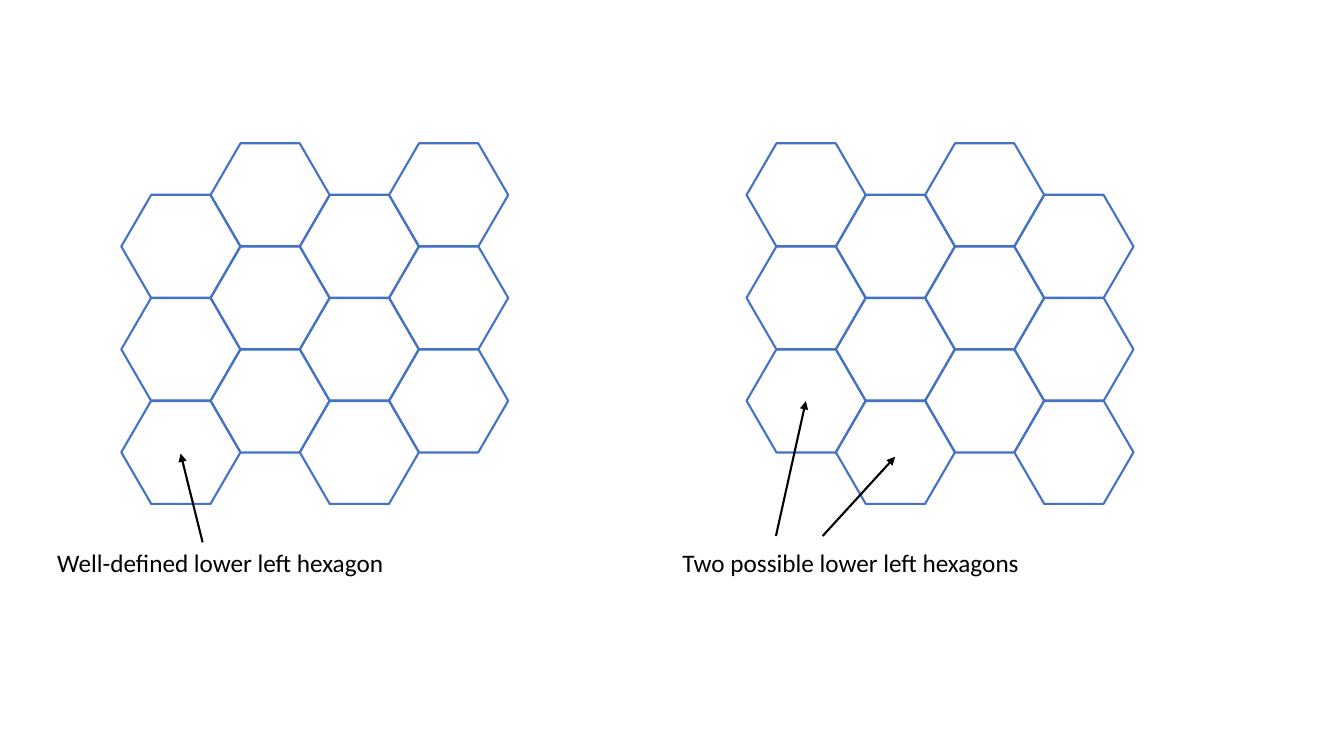
from dataclasses import dataclass

from lxml.etree import SubElement
from pptx import Presentation
from pptx.dml.color import RGBColor
from pptx.enum.shapes import MSO_CONNECTOR, MSO_SHAPE
from pptx.enum.text import MSO_AUTO_SIZE
from pptx.oxml.ns import qn
from pptx.util import Emu, Pt

EMU_PER_PX = 914400 // 192


@dataclass(frozen=True)
class Theme:
    outline: RGBColor = RGBColor(0x44, 0x72, 0xC4)
    ink: RGBColor = RGBColor(0, 0, 0)
    font: str = "Calibri"
    caption_size: Pt = Pt(18)
    line_width: Pt = Pt(1.5)


THEME = Theme()

# Hexagon geometry in px; neighbouring columns overlap by the slanted inset.
HEXAGON_WIDTH = 227
HEXAGON_HEIGHT = 197
COLUMN_PITCH = 170
HALF_ROW = 98
COLUMNS = 4
ROWS = 3

# Places inside a panel.
GRID_LEFT = 141
CAPTION_TOP = 760
CAPTION_HEIGHT = 77


def px(length):
    return Emu(length * EMU_PER_PX)


def add_hexagon(slide, left, top):
    hexagon = slide.shapes.add_shape(
        MSO_SHAPE.HEXAGON, px(left), px(top), px(HEXAGON_WIDTH), px(HEXAGON_HEIGHT)
    )
    hexagon.adjustments[0] = 0.29
    hexagon.shadow.inherit = False
    hexagon.fill.background()
    hexagon.line.color.rgb = THEME.outline
    hexagon.line.width = THEME.line_width


def add_hexagon_grid(slide, left, top, first_column_lowered):
    """Draw flat-topped columns, every other one lowered by half a row."""
    for column in range(COLUMNS):
        lowered = (column + first_column_lowered) % 2
        for row in range(ROWS):
            add_hexagon(
                slide,
                left + column * COLUMN_PITCH,
                top + (2 * row + lowered) * HALF_ROW,
            )


def add_arrow(slide, start, end):
    arrow = slide.shapes.add_connector(
        MSO_CONNECTOR.STRAIGHT, *(px(length) for length in (*start, *end))
    )
    arrow.line.color.rgb = THEME.ink
    arrow.line.width = THEME.line_width
    SubElement(arrow.line._get_or_add_ln(), qn("a:tailEnd"), type="triangle")
    SubElement(arrow._element.spPr, qn("a:effectLst"))


def add_caption(slide, left, top, width, text):
    caption = slide.shapes.add_textbox(px(left), px(top), px(width), px(CAPTION_HEIGHT))
    frame = caption.text_frame
    frame.word_wrap = False
    frame.auto_size = MSO_AUTO_SIZE.SHAPE_TO_FIT_TEXT
    run = frame.paragraphs[0].add_run()
    run.text = text
    run.font.name = THEME.font
    run.font.size = THEME.caption_size
    run.font.color.rgb = THEME.ink


def add_panel(slide, box, first_column_lowered, arrows, text):
    """Place a hexagon grid, its arrows and caption; arrow points are relative to box."""
    left, top, width = box
    add_hexagon_grid(slide, left + GRID_LEFT, top, first_column_lowered)
    for arrow in arrows:
        start, end = ((left + x, top + y) for x, y in arrow)
        add_arrow(slide, start, end)
    add_caption(slide, left, top + CAPTION_TOP, width, text)


def main():
    presentation = Presentation()
    presentation.slide_width = px(2560)
    presentation.slide_height = px(1440)
    slide = presentation.slides.add_slide(presentation.slide_layouts[6])
    add_panel(
        slide,
        box=(90, 273, 668),
        first_column_lowered=True,
        arrows=[((296, 760), (254, 591))],
        text="Well-defined lower left hexagon",
    )
    add_panel(
        slide,
        box=(1281, 273, 687),
        first_column_lowered=False,
        arrows=[((197, 748), (254, 491)), ((286, 748), (424, 597))],
        text="Two possible lower left hexagons",
    )
    presentation.save("out.pptx")


if __name__ == "__main__":
    main()
